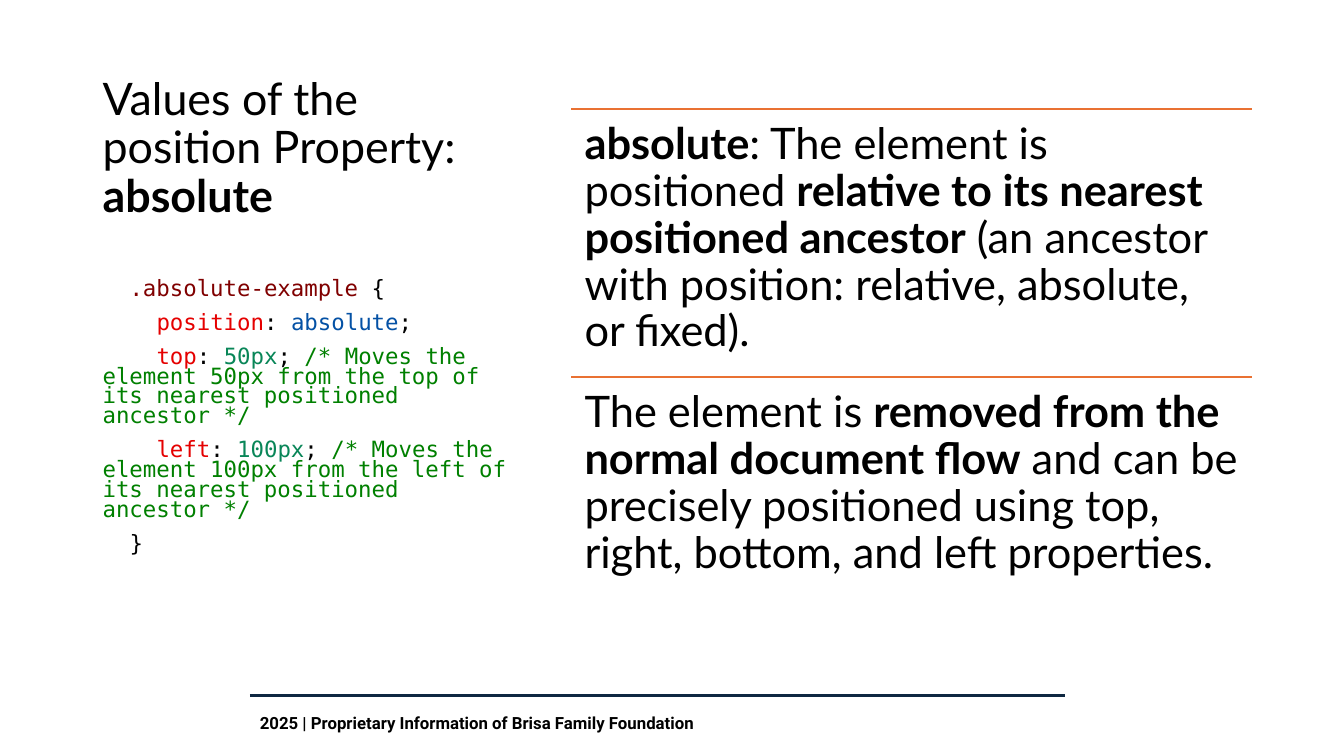
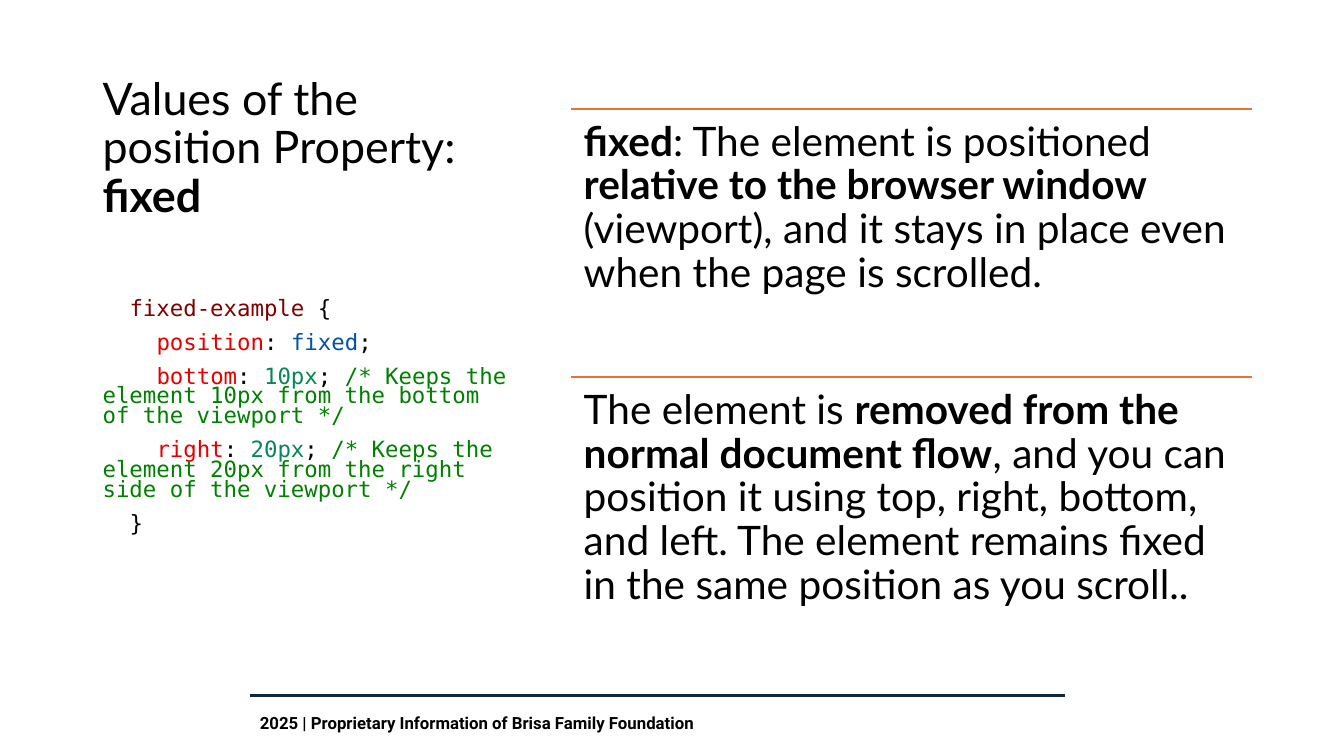
"""Build two slides on values of the position property."""
from dataclasses import dataclass

from lxml import etree
from pptx import Presentation
from pptx.dml.color import RGBColor
from pptx.enum.shapes import MSO_CONNECTOR
from pptx.enum.text import MSO_ANCHOR
from pptx.oxml.ns import qn
from pptx.util import Pt

TOP, MID, LOW = MSO_ANCHOR.TOP, MSO_ANCHOR.MIDDLE, MSO_ANCHOR.BOTTOM
STRAIGHT = MSO_CONNECTOR.STRAIGHT


@dataclass(frozen=True)
class Theme:
    ink: str = "000000"
    navy: str = "0E2841"
    accent: str = "E97132"
    picker: str = "800000"
    prop: str = "E50000"
    word: str = "0451A5"
    num: str = "098658"
    note: str = "008000"
    sans: str = "Lato"
    mono: str = "DejaVu Sans Mono"
    small: str = "Roboto"
    title: int = 32
    code: int = 16
    foot: int = 12
    rule: float = 1.5


class Deck:
    def __init__(self, theme):
        self.theme = theme
        self.deck = Presentation()
        self.deck.slide_width, self.deck.slide_height = Pt(960), Pt(540)
        self.slide = None

    def new(self):
        self.slide = self.deck.slides.add_slide(self.deck.slide_layouts[6])
        self.foot()

    def line(self, left, y, width, color):
        rule = self.slide.shapes.add_connector(
            STRAIGHT, Pt(left), Pt(y), Pt(left + width), Pt(y))
        rule.line.color.rgb = RGBColor.from_string(color)
        rule.line.width = Pt(self.theme.rule)
        etree.SubElement(rule.element.spPr, qn("a:effectLst"))

    def box(self, left, top, width, height, pads, anchor=TOP):
        shape = self.slide.shapes.add_textbox(
            Pt(left), Pt(top), Pt(width), Pt(height))
        frame = shape.text_frame
        frame.word_wrap = True
        frame.vertical_anchor = anchor
        frame.margin_left = frame.margin_right = Pt(pads[0])
        frame.margin_top, frame.margin_bottom = Pt(pads[1]), Pt(pads[2])
        return frame

    def run(self, para, text, font, size, color=None, bold=False):
        run = para.add_run()
        run.text = text
        run.font.name, run.font.size, run.font.bold = font, Pt(size), bold
        run.font.color.rgb = RGBColor.from_string(color or self.theme.ink)

    def prose(self, para, parts, size):
        para.line_spacing = 0.9
        for text, bold in parts:
            self.run(para, text, self.theme.sans, size, bold=bold)

    def foot(self):
        self.line(178.5, 496.8, 582.5, self.theme.navy)
        frame = self.box(178.5, 502, 582.5, 31, (7.2, 7.2, 7.2))
        self.run(frame.paragraphs[0],
                 "2025 | Proprietary Information of Brisa Family Foundation",
                 self.theme.small, self.theme.foot, bold=True)

    def head(self, value):
        frame = self.box(66.24, 36, 309.6, 126, (7.2, 3.6, 3.6), LOW)
        self.prose(frame.paragraphs[0],
                   [("Values of the position Property: ", False), (value, True)],
                   self.theme.title)

    def code(self, name, rules):
        look = self.theme
        frame = self.box(66.24, 162, 309.6, 300.24, (7.2, 3.6, 30), MID)
        rows = [(1, [(name, look.picker), (" {", look.ink)])]
        for prop, value, note in rules:
            color = look.num if value[0].isdigit() else look.word
            row = [(prop, look.prop), (": ", look.ink), (value, color)]
            if note:
                row += [("; ", look.ink), (f"/* {note} */", look.note)]
            else:
                row.append((";", look.ink))
            rows.append((2, row))
        rows.append((1, [("}", look.ink)]))
        for i, (depth, row) in enumerate(rows):
            para = frame.add_paragraph() if i else frame.paragraphs[0]
            para.line_spacing, para.space_before = Pt(14.2), Pt(10)
            props = para._p.get_or_add_pPr()
            props.set("marL", "0")
            props.set("indent", str(Pt(19.25 * depth)))
            for text, color in row:
                self.run(para, text, look.mono, look.code, color)

    def facts(self, items, size):
        left, top, width, step = 408.24, 77.76, 486, 191.5
        for i, parts in enumerate(items):
            y = top + i * step
            self.line(left, y, width, self.theme.accent)
            frame = self.box(left, y, width, step, (size * 0.3,) * 3)
            self.prose(frame.paragraphs[0], parts, size)

    def save(self):
        self.deck.save("out.pptx")


PAGES = [
    ("absolute", ".absolute-example", 31,
     [("position", "absolute", ""),
      ("top", "50px", "Moves the element 50px from the top "
       "of its nearest positioned ancestor"),
      ("left", "100px", "Moves the element 100px from the left "
       "of its nearest positioned ancestor")],
     [[("absolute", True), (": The element is positioned ", False),
       ("relative to its nearest positioned ancestor", True),
       (" (an ancestor with position: relative, absolute, or fixed).", False)],
      [("The element is ", False),
       ("removed from the normal document flow", True),
       (" and can be precisely positioned using top, right, bottom, "
        "and left properties.", False)]]),
    ("fixed", "fixed-example", 29,
     [("position", "fixed", ""),
      ("bottom", "10px", "Keeps the element 10px from the bottom "
       "of the viewport"),
      ("right", "20px", "Keeps the element 20px from the right side "
       "of the viewport")],
     [[("fixed", True), (": The element is positioned ", False),
       ("relative to the browser window", True),
       (" (viewport), and it stays in place even when the page is scrolled.",
        False)],
      [("The element is ", False),
       ("removed from the normal document flow", True),
       (", and you can position it using top, right, bottom, and left. "
        "The element remains fixed in the same position as you scroll..",
        False)]]),
]


def main():
    deck = Deck(Theme())
    for value, name, size, rules, items in PAGES:
        deck.new()
        deck.head(value)
        deck.code(name, rules)
        deck.facts(items, size)
    deck.save()


if __name__ == "__main__":
    main()
